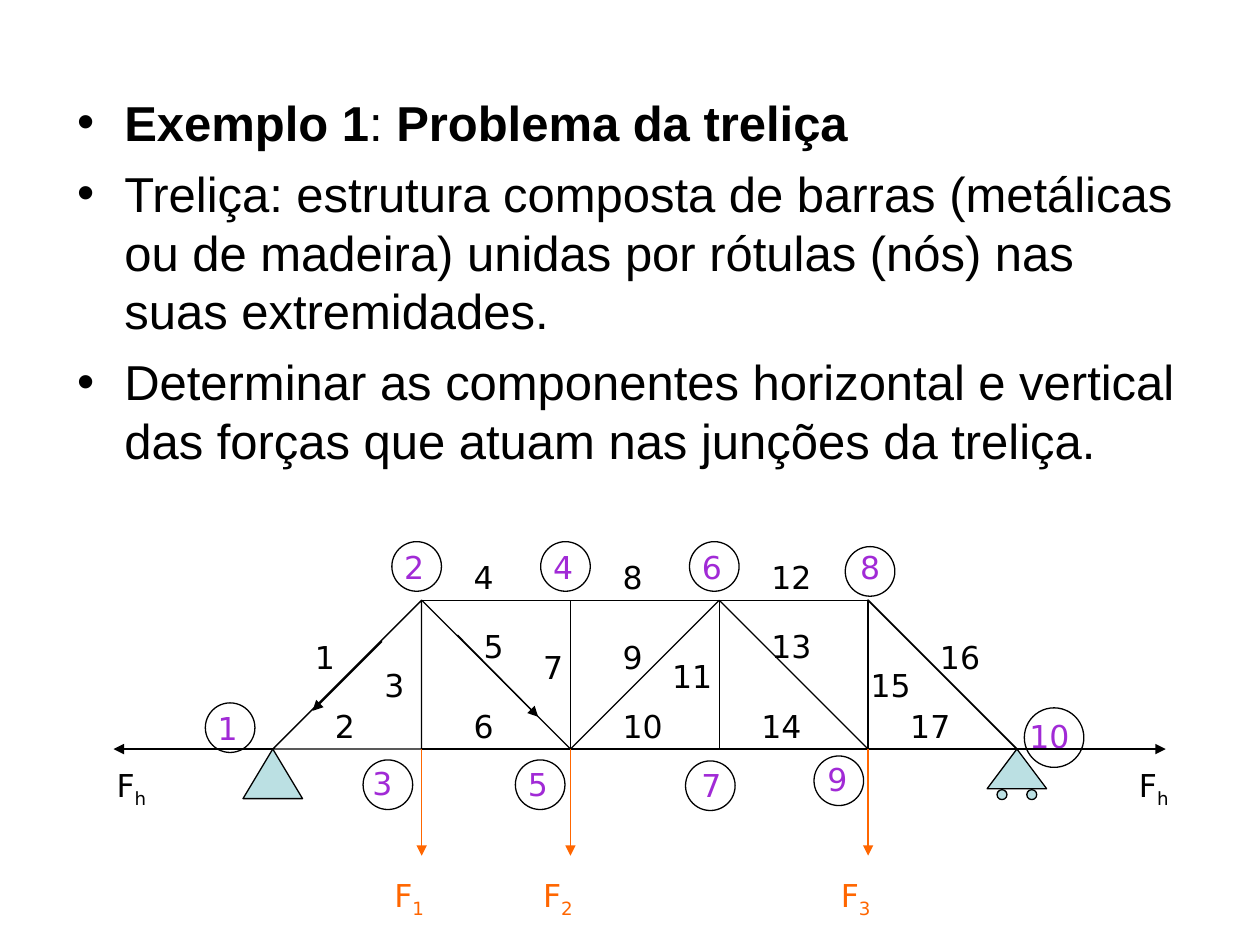
from lxml.etree import SubElement
from pptx import Presentation
from pptx.dml.color import RGBColor
from pptx.enum.shapes import MSO_CONNECTOR, MSO_SHAPE
from pptx.enum.text import MSO_AUTO_SIZE, PP_ALIGN
from pptx.oxml.ns import qn
from pptx.util import Cm, Pt

COLORS = {"ink": "000000", "node": "A12AD6", "load": "FF6600", "support": "BBE0E3"}

# Truss geometry in cm
PANEL = 3
JOINTS = [5.5 + PANEL * i for i in range(6)]
TOP, BOTTOM = 12.1, 15.1

BODY = [
    [("Exemplo 1", True), (": ", False), ("Problema da treliça", True)],
    [("Treliça: estrutura composta de barras (metálicas ou de madeira) unidas "
      "por rótulas (nós) nas suas extremidades.", False)],
    [("Determinar as componentes horizontal e vertical das forças que atuam "
      "nas junções da treliça.", False)],
]

# Bars 1 to 17: left, top, width of the label
BARS = [
    (6.1, 12.73, 1.2), (6.5, 14.12, 1.2), (7.5, 13.31, 1.2), (9.3, 11.13, 1.4),
    (9.5, 12.52, 1.2), (9.3, 14.12, 1.4), (10.7, 12.93, 1.2), (12.3, 11.13, 1),
    (12.3, 12.73, 1), (12.3, 14.12, 1.6), (13.3, 13.13, 1.6), (15.3, 11.13, 1.4),
    (15.3, 12.52, 1.4), (15.1, 14.12, 1.4), (17.3, 13.31, 1.4), (18.7, 12.73, 1.6),
    (18.1, 14.12, 1.6),
]

# Nodes 1 to 10: label left, top, width; circle left, top, diameter
NODES = [
    (4.14, 14.17, 1.2, 4.14, 14.17, 1), (7.9, 10.92, 1.2, 7.9, 10.92, 1),
    (7.26, 15.27, 1.2, 7.32, 15.32, 1), (10.9, 10.92, 1.4, 10.9, 10.92, 1),
    (10.39, 15.29, 1.2, 10.39, 15.32, 1), (13.9, 10.92, 1.4, 13.9, 10.92, 1),
    (13.89, 15.32, 1.2, 13.82, 15.34, 1), (17.09, 10.92, 1, 17.04, 11.02, 1),
    (16.43, 15.19, 1, 16.41, 15.24, 1), (20.5, 14.33, 1.6, 20.65, 14.27, 1.2),
]


def rgb(name):
    return RGBColor.from_string(COLORS[name])


def add_outline(s, kind, x, y, w, h, fill=None, weight=0.75):
    """Add a preset shape with a black outline, hollow unless a fill is named."""
    sp = s.shapes.add_shape(kind, Cm(x), Cm(y), Cm(w), Cm(h))
    sp.shadow.inherit = False
    if fill:
        sp.fill.solid()
        sp.fill.fore_color.rgb = rgb(fill)
    else:
        sp.fill.background()
    sp.line.color.rgb = rgb("ink")
    sp.line.width = Pt(weight)
    return sp


def add_line(s, start, end, color="ink", arrow=False):
    x1, y1, x2, y2 = (Cm(v) for v in (*start, *end))
    line = s.shapes.add_connector(MSO_CONNECTOR.STRAIGHT, x1, y1, x2, y2)
    line.line.color.rgb = rgb(color)
    line.line.width = Pt(0.75)
    if arrow:
        SubElement(line.line._get_or_add_ln(), qn("a:tailEnd"), type="triangle")
    SubElement(line._element.spPr, qn("a:effectLst"))


def add_label(s, text, x, y, w, color="ink", subscript=None):
    sp = s.shapes.add_textbox(Cm(x), Cm(y), Cm(w), Cm(1.12 if subscript else 1.02))
    tf = sp.text_frame
    tf.word_wrap = True
    tf.auto_size = MSO_AUTO_SIZE.SHAPE_TO_FIT_TEXT
    p = tf.paragraphs[0]
    p.alignment = PP_ALIGN.LEFT
    p.font.name = "DejaVu Sans"
    p.font.size = Pt(18)
    p.font.color.rgb = rgb(color)
    p.add_run().text = text
    if subscript:
        r = p.add_run()
        r.text = subscript
        r.font._element.set("baseline", "-25000")


def fill_body(s):
    sp = s.placeholders[1]
    sp.left, sp.top, sp.width, sp.height = Cm(1.3), Cm(1.73), Cm(22.86), Cm(15.49)
    tf = sp.text_frame
    tf.auto_size = MSO_AUTO_SIZE.NONE
    for i, runs in enumerate(BODY):
        p = tf.add_paragraph() if i else tf.paragraphs[0]
        p.space_before = Pt(7 if i else 0)
        p.font.name = "Arial"
        p.font.size = Pt(28)
        p.font.color.rgb = rgb("ink")
        for text, bold in runs:
            r = p.add_run()
            r.text = text
            r.font.bold = bold


def draw_truss(s):
    for x in JOINTS[1:4]:
        add_outline(s, MSO_SHAPE.RECTANGLE, x, TOP, PANEL, PANEL)
    left = add_outline(s, MSO_SHAPE.RIGHT_TRIANGLE, JOINTS[0], TOP, PANEL, PANEL)
    left.rotation = 270
    add_outline(s, MSO_SHAPE.RIGHT_TRIANGLE, JOINTS[4], TOP, PANEL, PANEL, weight=1)
    for i, y1, y2 in [(1, TOP, BOTTOM), (3, TOP, BOTTOM), (2, BOTTOM, TOP)]:
        add_line(s, (JOINTS[i], y1), (JOINTS[i + 1], y2))


def draw_supports(s):
    for x, h in [(JOINTS[0], 1), (JOINTS[5], 0.8)]:
        add_outline(s, MSO_SHAPE.ISOSCELES_TRIANGLE, x - 0.6, BOTTOM, 1.2, h, "support")
    for x in (20.1, 20.7):
        add_outline(s, MSO_SHAPE.OVAL, x, 15.92, 0.2, 0.2, "support")


def draw_forces(s):
    for number, i in enumerate((1, 2, 4), 1):
        x = JOINTS[i]
        add_line(s, (x, BOTTOM), (x, 17.25), "load", arrow=True)
        add_label(s, "F", x - 0.8, 17.53, 1.6, "load", str(number))
    for start, end in [((9.22, 12.8), (10.85, 14.45)), ((7.7, 12.93), (6.3, 14.33))]:
        add_line(s, start, end, arrow=True)
    for joint, tip, label_x in [(JOINTS[0], 2.29, 2.1), (JOINTS[5], 23.5, 22.71)]:
        add_line(s, (joint, BOTTOM), (tip, BOTTOM), arrow=True)
        add_label(s, "F", label_x, 15.32, 1.2, subscript="h")


def main():
    prs = Presentation()
    prs.slide_width, prs.slide_height = Cm(25.4), Cm(19.05)
    s = prs.slides.add_slide(prs.slide_layouts[1])
    title = s.shapes.title._element
    title.getparent().remove(title)

    fill_body(s)
    draw_truss(s)
    draw_supports(s)
    for number, (x, y, w) in enumerate(BARS, 1):
        add_label(s, str(number), x, y, w)
    for number, (x, y, w, cx, cy, d) in enumerate(NODES, 1):
        add_label(s, str(number), x, y, w, "node")
        add_outline(s, MSO_SHAPE.OVAL, cx, cy, d, d)
    draw_forces(s)
    prs.save("out.pptx")


if __name__ == "__main__":
    main()
